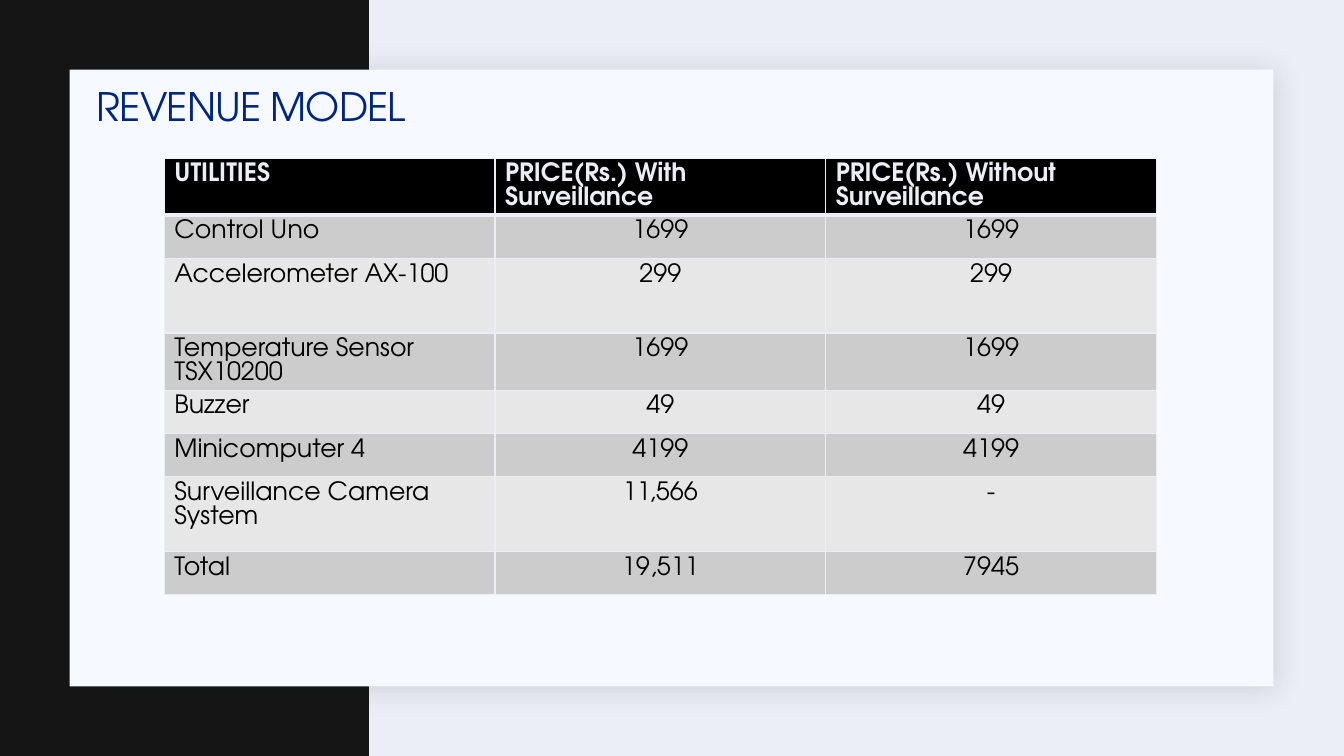
from itertools import product
from lxml import etree
from pptx import Presentation, util as u
from pptx.dml.color import RGBColor
from pptx.enum import shapes, text
from pptx.oxml import parse_xml
from pptx.oxml.ns import nsdecls, qn

HEADING = "REVENUE MODEL"
PRICES = [
    ("UTILITIES", "PRICE(Rs.) With Surveillance", "PRICE(Rs.) Without Surveillance"),
    ("Control Uno", "1699", "1699"),
    ("Accelerometer AX-100", "299", "299"),
    ("Temperature Sensor TSX10200", "1699", "1699"),
    ("Buzzer", "49", "49"),
    ("Minicomputer 4", "4199", "4199"),
    ("Surveillance Camera System", "11,566", "-"),
    ("Total", "19,511", "7945"),
]
COLORS = {
    "back": "ECEEF7", "band": "141514", "panel": "F6F9FF", "shadow": "1F2125",
    "heading": "00257D", "header": "000000", "ink": "000000",
    "odd": "CCCCCC", "even": "E7E7E7",
}
FONT = "TeX Gyre Adventor"
WIDTH, HEIGHT = 13.33, 7.5
MARGIN = 0.69
PANELS = [
    ("band", (0, 0, 3.66, HEIGHT)),
    ("panel", (MARGIN, MARGIN, 11.94, HEIGHT - 2 * MARGIN)),
]
HEADING_BOX = (0.86, 0.79, 8.01, 0.58)
TABLE_AT = (1.63, 1.57)
COLUMN = 3.28
HEADER_ROW, SHORT_ROW, TALL_ROW = 0.48, 0.43, 0.74
TALL_ROWS = (2, 6)


def color(name):
    return RGBColor.from_string(COLORS[name])


def inches(box):
    return [u.Inches(length) for length in box]


def style(target, **values):
    for name, value in values.items():
        setattr(target, name, value)


def row_height(row):
    if row == 0:
        return HEADER_ROW
    return TALL_ROW if row in TALL_ROWS else SHORT_ROW


def add_panels(slide, heading):
    for name, box in PANELS:
        panel = slide.shapes.add_shape(shapes.MSO_SHAPE.RECTANGLE, *inches(box))
        panel.shadow.inherit = False
        panel.fill.solid()
        panel.fill.fore_color.rgb = color(name)
        panel.line.fill.background()
        heading.element.addprevious(panel.element)
    effects = panel.element.find(".//" + qn("a:effectLst"))
    effects.append(parse_xml(
        f'<a:outerShdw {nsdecls("a")} blurRad="{u.Pt(20)}" dist="{u.Pt(2)}" '
        f'dir="{45 * 60000}" algn="tl" rotWithShape="0">'
        f'<a:srgbClr val="{COLORS["shadow"]}"><a:alpha val="15000"/></a:srgbClr>'
        '</a:outerShdw>'))


def write_heading(heading):
    style(heading, **dict(zip(("left", "top", "width", "height"), inches(HEADING_BOX))))
    frame = heading.text_frame
    frame.text = HEADING
    style(frame, word_wrap=True, auto_size=text.MSO_AUTO_SIZE.NONE,
          vertical_anchor=text.MSO_ANCHOR.MIDDLE)
    line = frame.paragraphs[0]
    style(line, alignment=text.PP_ALIGN.LEFT, line_spacing=0.9)
    font = line.runs[0].font
    style(font, name=FONT, size=u.Pt(28), bold=False)
    font.color.rgb = color("heading")
    heading.element.find(".//" + qn("a:rPr")).set("spc", "-50")


def add_borders(properties, row):
    heavy = {0: "lnB", 1: "lnT"}.get(row)
    for position, side in enumerate(("lnL", "lnR", "lnT", "lnB")):
        border = etree.Element(qn("a:" + side), w=str(u.Pt(3 if side == heavy else 1)))
        fill = etree.SubElement(border, qn("a:solidFill"))
        etree.SubElement(fill, qn("a:srgbClr"), val=COLORS["back"])
        properties.insert(position, border)


def add_prices(slide):
    heights = [row_height(row) for row in range(len(PRICES))]
    columns = len(PRICES[0])
    size = (columns * COLUMN, sum(heights))
    frame = slide.shapes.add_table(len(PRICES), columns, *inches(TABLE_AT + size))
    table = frame.table
    for column in table.columns:
        column.width = u.Inches(COLUMN)
    for row, height in zip(table.rows, heights):
        row.height = u.Inches(height)
    for row, column in product(range(len(PRICES)), range(columns)):
        is_header = row == 0
        cell = table.cell(row, column)
        cell.text = PRICES[row][column]
        cell.fill.solid()
        cell.fill.fore_color.rgb = color(
            "header" if is_header else "odd" if row % 2 else "even")
        line = cell.text_frame.paragraphs[0]
        centred = column and not is_header
        line.alignment = text.PP_ALIGN.CENTER if centred else text.PP_ALIGN.LEFT
        font = line.runs[0].font
        style(font, name=FONT, size=u.Pt(18), bold=is_header)
        font.color.rgb = color("back" if is_header else "ink")
    for index, properties in enumerate(frame.element.iter(qn("a:tcPr"))):
        add_borders(properties, index // columns)


def main():
    deck = Presentation()
    style(deck, slide_width=u.Inches(WIDTH), slide_height=u.Inches(HEIGHT))
    slide = deck.slides.add_slide(deck.slide_layouts[5])
    slide.background.fill.solid()
    slide.background.fill.fore_color.rgb = color("back")
    heading = slide.shapes.title
    add_panels(slide, heading)
    write_heading(heading)
    add_prices(slide)
    deck.save("out.pptx")


if __name__ == "__main__":
    main()
